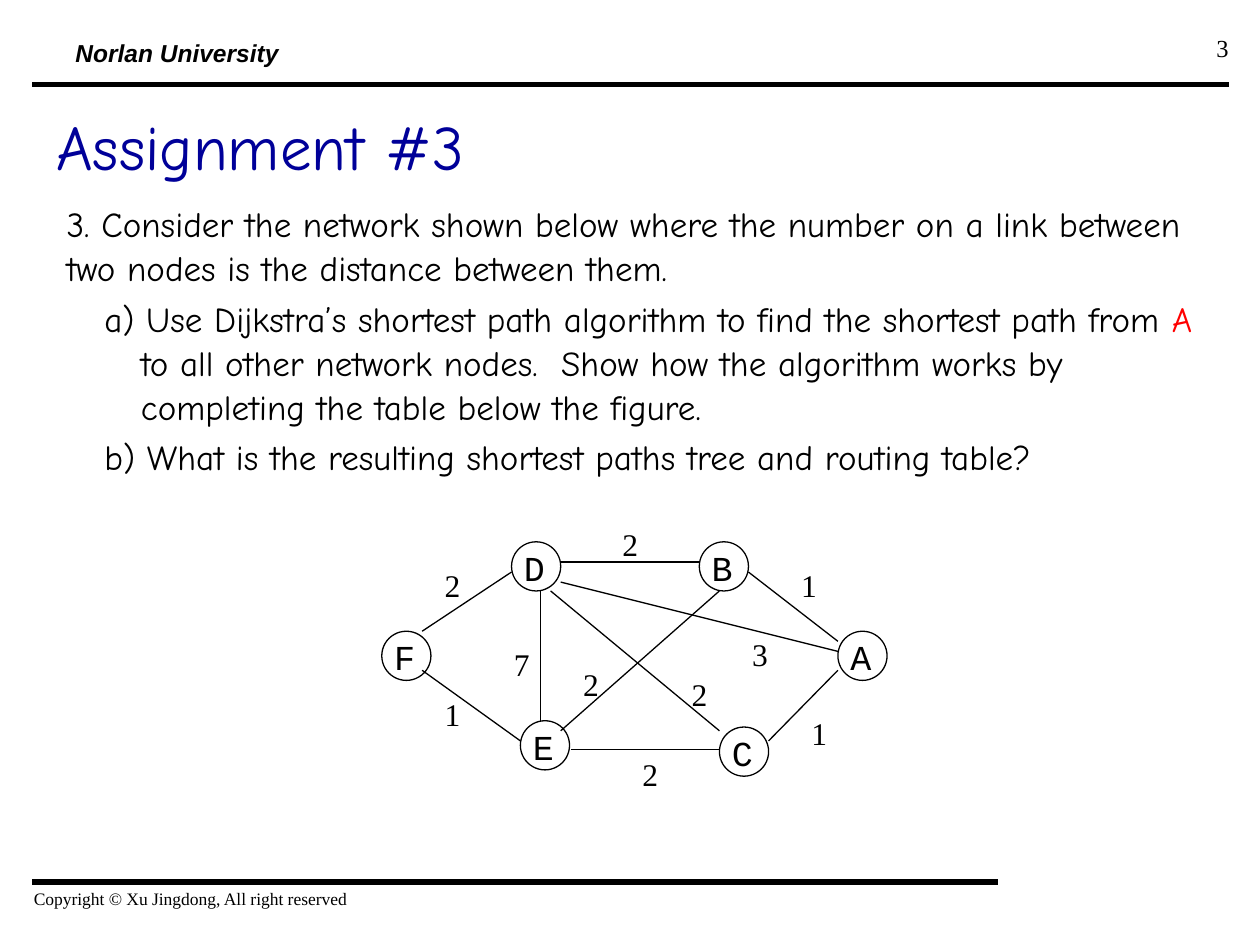
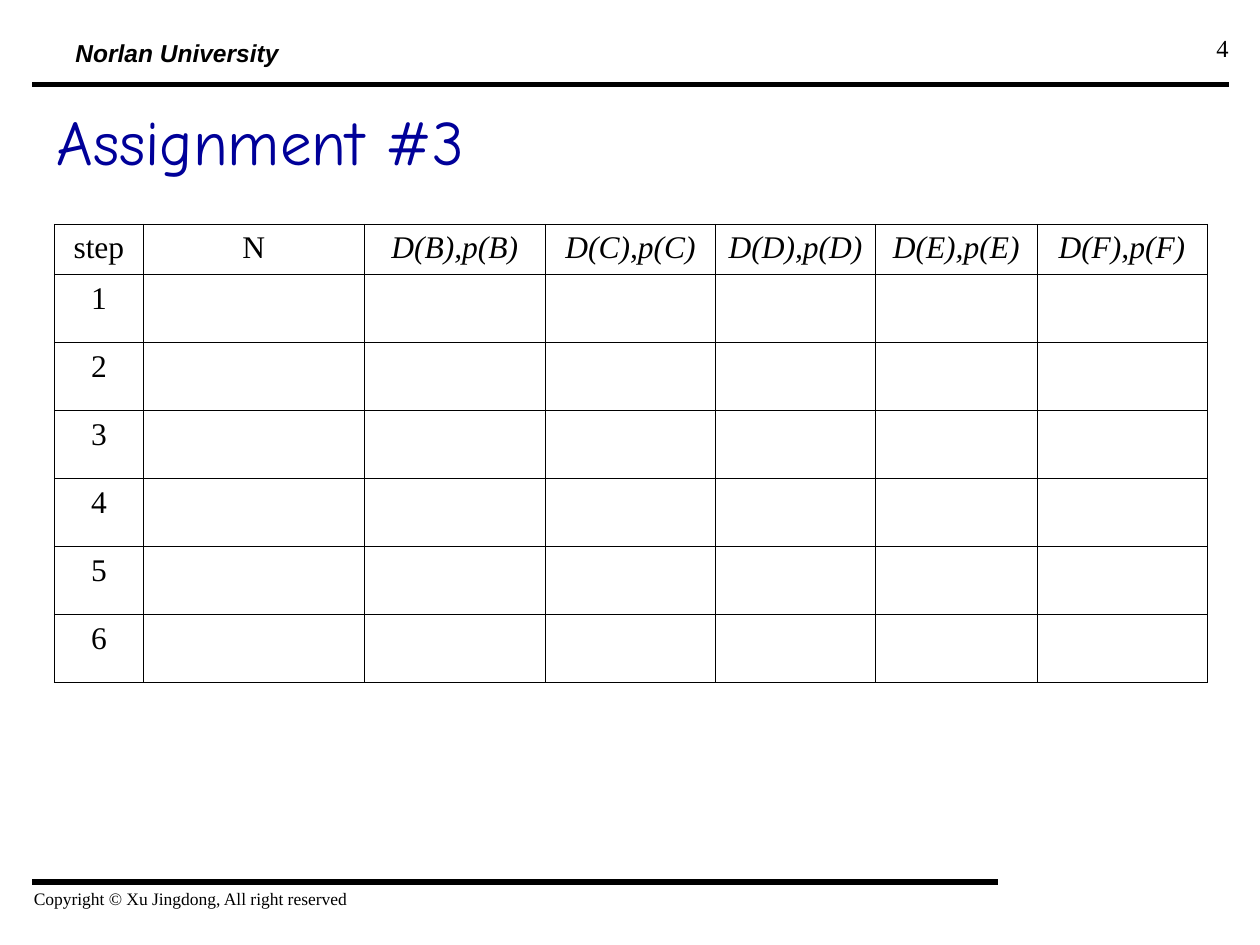
import pptx
import pptx.dml.color
import pptx.enum.shapes
import pptx.enum.text
import pptx.oxml
import pptx.oxml.ns
import pptx.util
from pptx.util import Inches

ALIGN = pptx.enum.text.PP_ALIGN
BLACK, NAVY, RED = "000000", "000099", "FF0000"
SERIF, HAND = "Times New Roman", "Comic Neue"

HEADER = {"name": "Arial", "size": 14, "bold": True, "italic": True}
FOOTER = {"name": SERIF, "size": 10}
PAGE_NUMBER = {"name": SERIF, "size": 14}
TITLE = {"name": HAND, "size": 36, "color": NAVY}
BODY = {"name": HAND, "size": 20}
NODE = {"name": "Courier New", "size": 20}
SERIF_18 = {"name": SERIF, "size": 18}

BODY_SPACING = {"line_spacing": 1.05, "space_before": pptx.util.Pt(3.7)}
HANGING = 0.38
NODE_SIZE = 0.39

NODES = {
    "A": (6.65, 5.01),
    "B": (5.55, 4.3),
    "C": (5.71, 5.77),
    "D": (4.06, 4.3),
    "E": (4.13, 5.72),
    "F": (3.03, 5.01),
}

LINKS = [
    ((3.35, 5.01), (4.06, 4.54), "2", (3.43, 4.38)),
    ((4.45, 4.46), (5.55, 4.46), "2", (4.84, 4.06)),
    ((5.94, 4.54), (6.65, 5.09), "1", (6.26, 4.38)),
    ((3.35, 5.32), (4.13, 5.88), "1", (3.43, 5.41)),
    ((4.53, 5.95), (5.71, 5.95), "2", (5, 5.88)),
    ((6.1, 5.88), (6.65, 5.32), "1", (6.34, 5.56)),
    ((4.29, 4.69), (4.29, 5.72), "7", (3.98, 5.01)),
    ((4.45, 4.62), (6.65, 5.17), "3", (5.87, 4.93)),
    ((4.37, 4.69), (5.71, 5.8), "2", (5.39, 5.25)),
    ((5.71, 4.69), (4.45, 5.8), "2", (4.53, 5.17)),
]

COLUMN_WIDTHS = [0.71, 1.75, 1.44, 1.35, 1.27, 1.28, 1.35]
HEADER_HEIGHT, STEP_HEIGHT = 0.4, 0.54
STEP_COUNT = 6


def rgb(color):
    return pptx.dml.color.RGBColor.from_string(color)


def set_attributes(target, values):
    for name, value in values.items():
        setattr(target, name, value)


def add_run(paragraph, text, style):
    run = paragraph.add_run()
    run.text = text
    values = dict(style)
    run.font.color.rgb = rgb(values.pop("color", BLACK))
    values["size"] = pptx.util.Pt(values["size"])
    set_attributes(run.font, values)


def set_indent(paragraph, left, first):
    properties = paragraph._p.get_or_add_pPr()
    properties.set("marL", str(Inches(left)))
    properties.set("indent", str(Inches(first)))


def add_text_frame(shapes, box, frame_format=None):
    text_box = shapes.add_textbox(*map(Inches, box))
    text_box.text_frame.word_wrap = True
    set_attributes(text_box.text_frame, frame_format or {})
    return text_box.text_frame


def add_text(shapes, box, text, style, frame_format=None, paragraph_format=None):
    frame = add_text_frame(shapes, box, frame_format)
    paragraph = frame.paragraphs[0]
    set_attributes(paragraph, paragraph_format or {})
    add_run(paragraph, text, style)
    return paragraph


def add_line(shapes, start, end, width):
    line = shapes.add_connector(
        pptx.enum.shapes.MSO_CONNECTOR.STRAIGHT, *map(Inches, start + end))
    line.line.color.rgb = rgb(BLACK)
    line.line.width = pptx.util.Pt(width)
    line._element.spPr.append(pptx.oxml.parse_xml(
        f"<a:effectLst {pptx.oxml.ns.nsdecls('a')}/>"))


def add_figure_text(shapes, box, text, style, space_before):
    paragraph = add_text(
        shapes, box, text, style,
        {"auto_size": pptx.enum.text.MSO_AUTO_SIZE.SHAPE_TO_FIT_TEXT},
        {"alignment": ALIGN.JUSTIFY, "line_spacing": 1.2,
         "space_before": pptx.util.Pt(space_before)})
    set_indent(paragraph, HANGING, -HANGING)


def add_node(slide, letter, left, top):
    group = slide.shapes.add_group_shape()
    circle = group.shapes.add_shape(
        pptx.enum.shapes.MSO_SHAPE.OVAL,
        *map(Inches, (left, top, NODE_SIZE, NODE_SIZE)))
    circle.shadow.inherit = False
    circle.fill.background()
    circle.line.color.rgb = rgb(BLACK)
    circle.line.width = pptx.util.Pt(0.75)
    add_figure_text(group.shapes, (left, top - 0.08, 0.32, 0.5), letter, NODE, 12.5)


def add_network(slide):
    for letter, (left, top) in NODES.items():
        add_node(slide, letter, left, top)
    for start, end, distance, label in LINKS:
        add_line(slide.shapes, start, end, 0.75)
        add_figure_text(slide.shapes, label + (0.31, 0.46), distance, SERIF_18, 11.2)


def add_question(slide):
    frame = add_text_frame(slide.shapes, (0.43, 1.54, 9.14, 2.36))
    question = [
        (False, [("3. Consider the network shown below where the number on a link "
                  "between two nodes is the distance between them.", BLACK)]),
        (True, [("a) Use Dijkstra’s shortest path algorithm to find the shortest "
                 "path from ", BLACK),
                ("A", RED),
                (" to all other network nodes.  Show how the algorithm works by "
                 "completing the table below the figure.", BLACK)]),
        (True, [("b) What is the resulting shortest paths tree and routing table?",
                 BLACK)]),
    ]
    for index, (is_part, runs) in enumerate(question):
        paragraph = frame.add_paragraph() if index else frame.paragraphs[0]
        set_attributes(paragraph, BODY_SPACING)
        if is_part:
            paragraph.level = 1
            set_indent(paragraph, 0.59, -0.29)
        for text, color in runs:
            add_run(paragraph, text, {**BODY, "color": color})


def format_cell(cell):
    cell.fill.background()
    properties = cell._tc.get_or_add_tcPr()
    for index, side in enumerate(("lnL", "lnR", "lnT", "lnB")):
        properties.insert(index, pptx.oxml.parse_xml(
            f"<a:{side} {pptx.oxml.ns.nsdecls('a')} w=\"{pptx.util.Pt(0.45)}\">"
            f"<a:solidFill><a:srgbClr val=\"{BLACK}\"/></a:solidFill></a:{side}>"))


def fill_cell(cell, text, style):
    paragraph = cell.text_frame.paragraphs[0]
    paragraph.alignment = ALIGN.CENTER
    set_indent(paragraph, HANGING, -HANGING)
    add_run(paragraph, text, style)


def add_step_table(slide):
    heights = [HEADER_HEIGHT] + [STEP_HEIGHT] * STEP_COUNT
    box = (0.43, 1.78, sum(COLUMN_WIDTHS), sum(heights))
    table = slide.shapes.add_table(
        len(heights), len(COLUMN_WIDTHS), *map(Inches, box)).table
    set_attributes(table, {"first_row": False, "horz_banding": False})
    for column, width in zip(table.columns, COLUMN_WIDTHS):
        column.width = Inches(width)
    for row, height in zip(table.rows, heights):
        row.height = Inches(height)
    for cell in table.iter_cells():
        format_cell(cell)
    for column, text in enumerate(("step", "N")):
        fill_cell(table.cell(0, column), text, SERIF_18)
    for column, node in enumerate("BCDEF", 2):
        fill_cell(table.cell(0, column), f"D({node}),p({node})",
                  {**SERIF_18, "italic": True})
    for step in range(1, STEP_COUNT + 1):
        fill_cell(table.cell(step, 0), str(step), SERIF_18)


def add_assignment_slide(presentation, number, title_width, title_height):
    slide = presentation.slides.add_slide(presentation.slide_layouts[6])
    shapes = slide.shapes
    add_line(shapes, (7.92, 7), (0.25, 7), 3)
    add_line(shapes, (9.75, 0.67), (0.25, 0.67), 3)
    add_text(shapes, (0.5, 0.32, 1.83, 0.27), "Norlan University", HEADER,
             {"word_wrap": False,
              "auto_size": pptx.enum.text.MSO_AUTO_SIZE.SHAPE_TO_FIT_TEXT},
             {"line_spacing": 0.7, "space_before": pptx.util.Pt(3.5)})
    add_text(shapes, (0.17, 7, 3.83, 0.33),
             "Copyright © Xu Jingdong, All right reserved", FOOTER)
    add_text(shapes, (7.52, 0.21, 2.33, 0.52), str(number), PAGE_NUMBER,
             paragraph_format={"alignment": ALIGN.RIGHT})
    add_text(shapes, (0.35, 0.67, title_width, title_height), "Assignment #3", TITLE,
             {"vertical_anchor": pptx.enum.text.MSO_ANCHOR.MIDDLE})
    return slide


def main():
    presentation = pptx.Presentation()
    presentation.slide_width = Inches(10)
    presentation.slide_height = Inches(7.5)

    network_slide = add_assignment_slide(presentation, 3, 8.9, 0.96)
    add_question(network_slide)
    add_network(network_slide)

    table_slide = add_assignment_slide(presentation, 4, 9.29, 0.88)
    add_step_table(table_slide)

    presentation.save("out.pptx")


if __name__ == "__main__":
    main()
